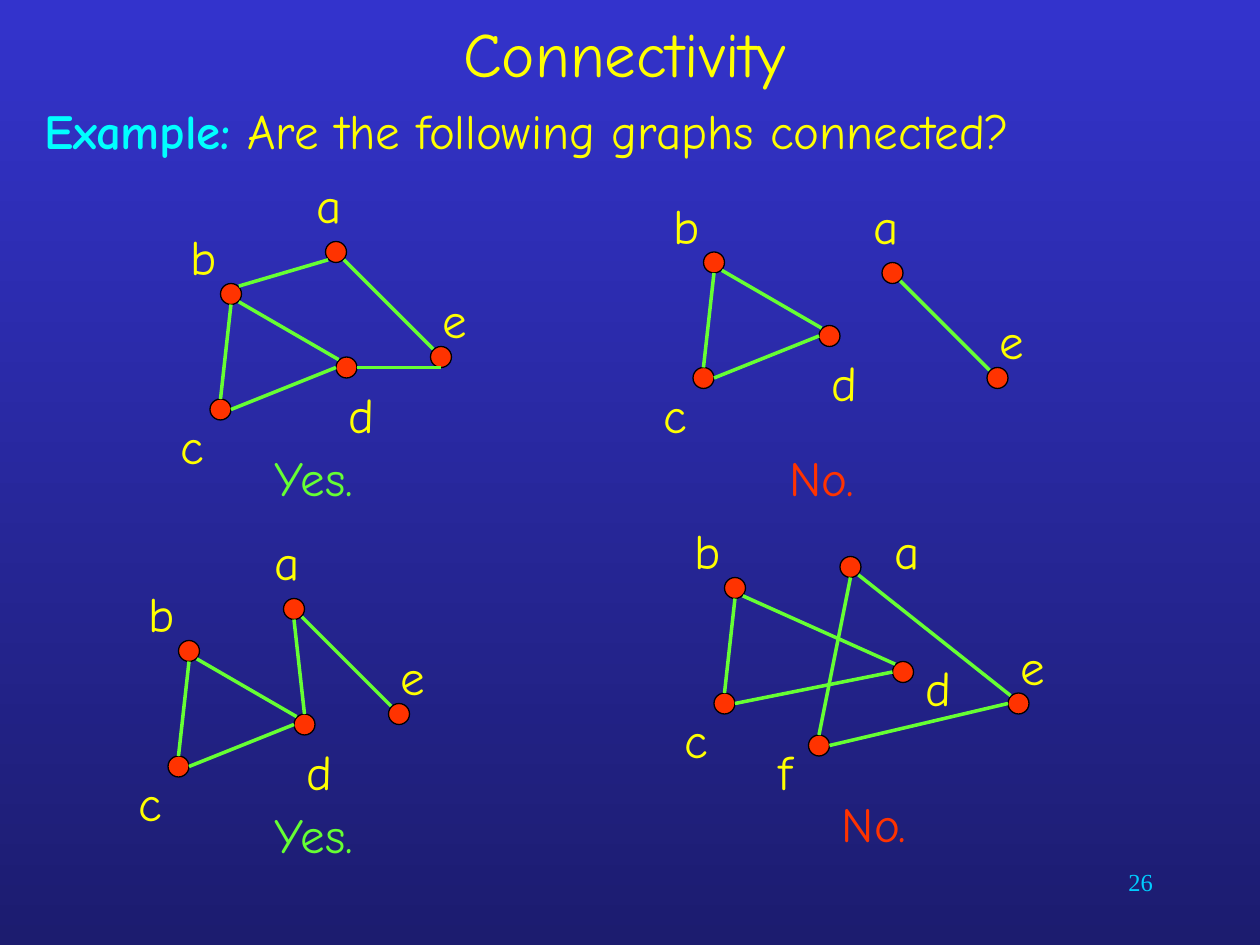
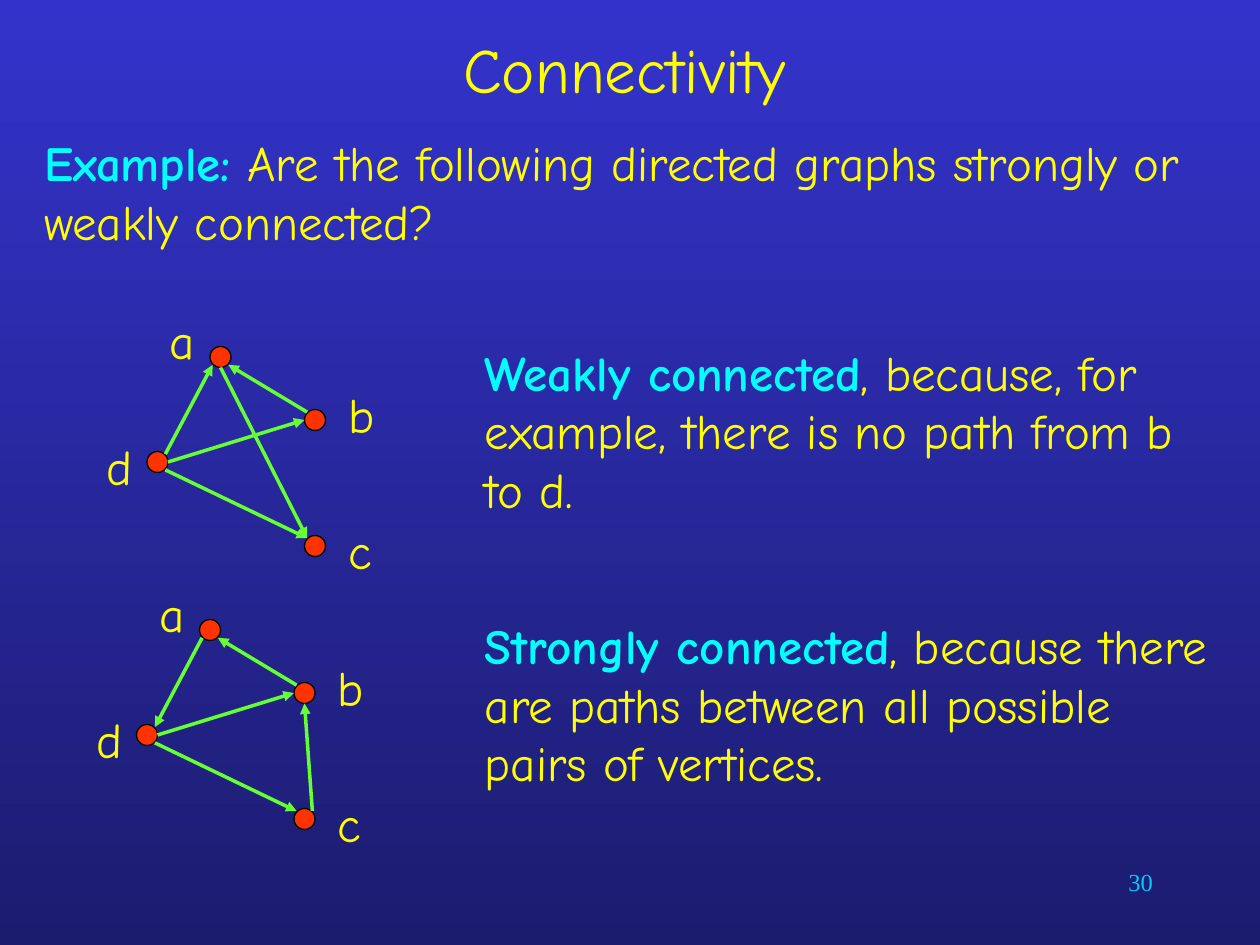
"""Build two slides on the connectivity of undirected and directed graphs."""
import lxml.etree
import pptx
import pptx.dml.color
import pptx.enum.shapes
import pptx.enum.text
import pptx.oxml.ns
import pptx.util

EMU_PER_PX = 9525
BLUE = pptx.dml.color.RGBColor(0x33, 0x33, 0xCC)
NAVY = pptx.dml.color.RGBColor(0x1C, 0x1C, 0x6F)
YELLOW = pptx.dml.color.RGBColor(0xFF, 0xFF, 0x00)
CYAN = pptx.dml.color.RGBColor(0x00, 0xFF, 0xFF)
SKY = pptx.dml.color.RGBColor(0x00, 0xCC, 0xFF)
RED = pptx.dml.color.RGBColor(0xFF, 0x33, 0x00)
GREEN = pptx.dml.color.RGBColor(0x66, 0xFF, 0x33)
BLACK = pptx.dml.color.RGBColor(0x00, 0x00, 0x00)

ALIGN = pptx.enum.text.PP_ALIGN
ANCHOR = pptx.enum.text.MSO_ANCHOR
RADIUS = 8
LABEL_HEIGHT = 55
SITES = {
    "N": (0, -8), "NE": (6, -6), "E": (8, 0), "SE": (6, 6),
    "S": (0, 8), "SW": (-6, 6), "W": (-8, 0), "NW": (-6, -6),
}

# Each vertex: centre x, centre y, label left, label top, label width.
HOUSE = {
    "d": (264, 280, 256, 288, 64), "c": (168, 312, 128, 312, 40),
    "b": (176, 224, 136, 168, 32), "e": (336, 272, 328, 216, 64),
    "a": (256, 192, 232, 128, 64),
}
SPLIT = {
    "d": (632, 256, 624, 264, 64), "c": (536, 288, 496, 288, 40),
    "b": (544, 200, 504, 144, 32), "e": (760, 288, 752, 232, 64),
    "a": (680, 208, 656, 144, 64),
}
CROSSED = {
    "d": (688, 512, 696, 496, 64), "c": (552, 536, 512, 536, 40),
    "b": (560, 448, 520, 392, 32), "e": (776, 536, 768, 480, 64),
    "a": (648, 432, 672, 392, 64), "f": (624, 568, 584, 560, 40),
}
DIRECTED = {
    "a": (168, 272, 120, 232, 64), "c": (240, 416, 256, 392, 64),
    "d": (120, 352, 72, 328, 64), "b": (240, 320, 256, 288, 64),
}
COMMON_EDGES = ["d W c E", "c N b S", "a SE e NW", "b SE d NW"]
COMMON_ARROWS = ["b NW a SE", "d E b W", "d SE c NW"]

SLIDES = [
    {
        "number": "26",
        "title_box": (24, 0, 904, 80),
        "question_box": (24, 72, 920, 56),
        "question": " Are the following graphs connected?",
        "directed": False,
        "graphs": [
            (HOUSE, (0, 0), COMMON_EDGES + ["d E e S", "b NE a SW"]),
            (SPLIT, (0, 0), COMMON_EDGES),
            (HOUSE, (-32, 272), COMMON_EDGES + ["d N a S"]),
            (CROSSED, (0, 0), COMMON_EDGES + ["f N a S", "f E e W"]),
        ],
        "answers": [
            ((200, 336, 96, 56), [("Yes.", GREEN, False)]),
            ((592, 336, 96, 56), [("No.", RED, False)]),
            ((200, 608, 96, 56), [("Yes.", GREEN, False)]),
            ((632, 600, 96, 56), [("No.", RED, False)]),
        ],
    },
    {
        "number": "30",
        "title_box": (24, 0, 904, 104),
        "question_box": (24, 96, 920, 104),
        "question": " Are the following directed graphs strongly or weakly connected?",
        "directed": True,
        "graphs": [
            (DIRECTED, (0, 0), COMMON_ARROWS + ["d NE a SW", "a S c NW"]),
            (DIRECTED, (-8, 208), COMMON_ARROWS + ["a SW d NE", "c NE b S"]),
        ],
        "answers": [
            ((360, 256, 576, 184), [
                ("Weakly connected", CYAN, True),
                (", because, for example, there is no path from b to d.", YELLOW, False)]),
            ((360, 464, 576, 184), [
                ("Strongly connected", CYAN, True),
                (", because there are paths between all possible pairs of vertices.", YELLOW, False)]),
        ],
    },
]


def px(*lengths):
    """Turn pixel lengths into EMU."""
    return [pptx.util.Emu(length * EMU_PER_PX) for length in lengths]


def write(shape, box, pieces, size=28, name="Comic Neue", align=ALIGN.LEFT, anchor=ANCHOR.TOP):
    """Place a text shape and fill it with coloured runs."""
    for attribute, value in zip(("left", "top", "width", "height"), px(*box)):
        setattr(shape, attribute, value)
    frame_format = {
        "word_wrap": True,
        "auto_size": pptx.enum.text.MSO_AUTO_SIZE.NONE,
        "vertical_anchor": anchor,
    }
    for attribute, value in frame_format.items():
        setattr(shape.text_frame, attribute, value)
    paragraph = shape.text_frame.paragraphs[0]
    paragraph.alignment = align
    for text, color, bold in pieces:
        run = paragraph.add_run()
        run.text = text
        run.font.color.rgb = color
        for attribute, value in {"name": name, "size": pptx.util.Pt(size), "bold": bold}.items():
            setattr(run.font, attribute, value)
    return paragraph


presentation = pptx.Presentation()
presentation.slide_width, presentation.slide_height = px(960, 720)
background = presentation.slide_master.background.fill
background.gradient()
background.gradient_angle = 270
for stop, color in zip(background.gradient_stops, (BLUE, NAVY)):
    stop.color.rgb = color

for content in SLIDES:
    slide = presentation.slides.add_slide(presentation.slide_layouts[1])
    write(slide.shapes.title, content["title_box"], [("Connectivity", YELLOW, False)],
          size=36, align=ALIGN.CENTER, anchor=ANCHOR.MIDDLE)
    question = write(slide.placeholders[1], content["question_box"],
                     [("Example:", CYAN, True), (content["question"], YELLOW, False)])
    properties = question._p.get_or_add_pPr()
    for attribute in ("marL", "indent"):
        properties.set(attribute, "0")
    lxml.etree.SubElement(properties, pptx.oxml.ns.qn("a:buNone"))
    write(slide.shapes.add_textbox(0, 0, 0, 0), (688, 656, 200, 48),
          [(content["number"], SKY, False)], size=14, name="Times New Roman", align=ALIGN.RIGHT)

    for vertices, (shift_x, shift_y), edges in content["graphs"]:
        group = slide.shapes.add_group_shape()
        for letter, (x, y, label_x, label_y, label_width) in vertices.items():
            vertex = group.shapes.add_shape(
                pptx.enum.shapes.MSO_SHAPE.FLOWCHART_CONNECTOR,
                *px(x + shift_x - RADIUS, y + shift_y - RADIUS, 2 * RADIUS, 2 * RADIUS))
            vertex.shadow.inherit = False
            vertex.fill.solid()
            vertex.fill.fore_color.rgb = RED
            vertex.line.color.rgb = BLACK
            vertex.line.width = pptx.util.Pt(0.75)
            write(group.shapes.add_textbox(0, 0, 0, 0),
                  (label_x + shift_x, label_y + shift_y, label_width, LABEL_HEIGHT),
                  [(letter, YELLOW, False)])
        for edge in edges:
            start, start_site, end, end_site = edge.split()
            ends = []
            for letter, site in ((start, start_site), (end, end_site)):
                ends += [vertices[letter][0] + shift_x + SITES[site][0],
                         vertices[letter][1] + shift_y + SITES[site][1]]
            connector = group.shapes.add_connector(
                pptx.enum.shapes.MSO_CONNECTOR.STRAIGHT, *px(*ends))
            connector.line.color.rgb = GREEN
            connector.line.width = pptx.util.Pt(2)
            if content["directed"]:
                lxml.etree.SubElement(connector.line._get_or_add_ln(),
                                      pptx.oxml.ns.qn("a:tailEnd"), type="triangle")
            lxml.etree.SubElement(connector._element.spPr, pptx.oxml.ns.qn("a:effectLst"))

    for box, pieces in content["answers"]:
        write(slide.shapes.add_textbox(0, 0, 0, 0), box, pieces)

presentation.save("out.pptx")
